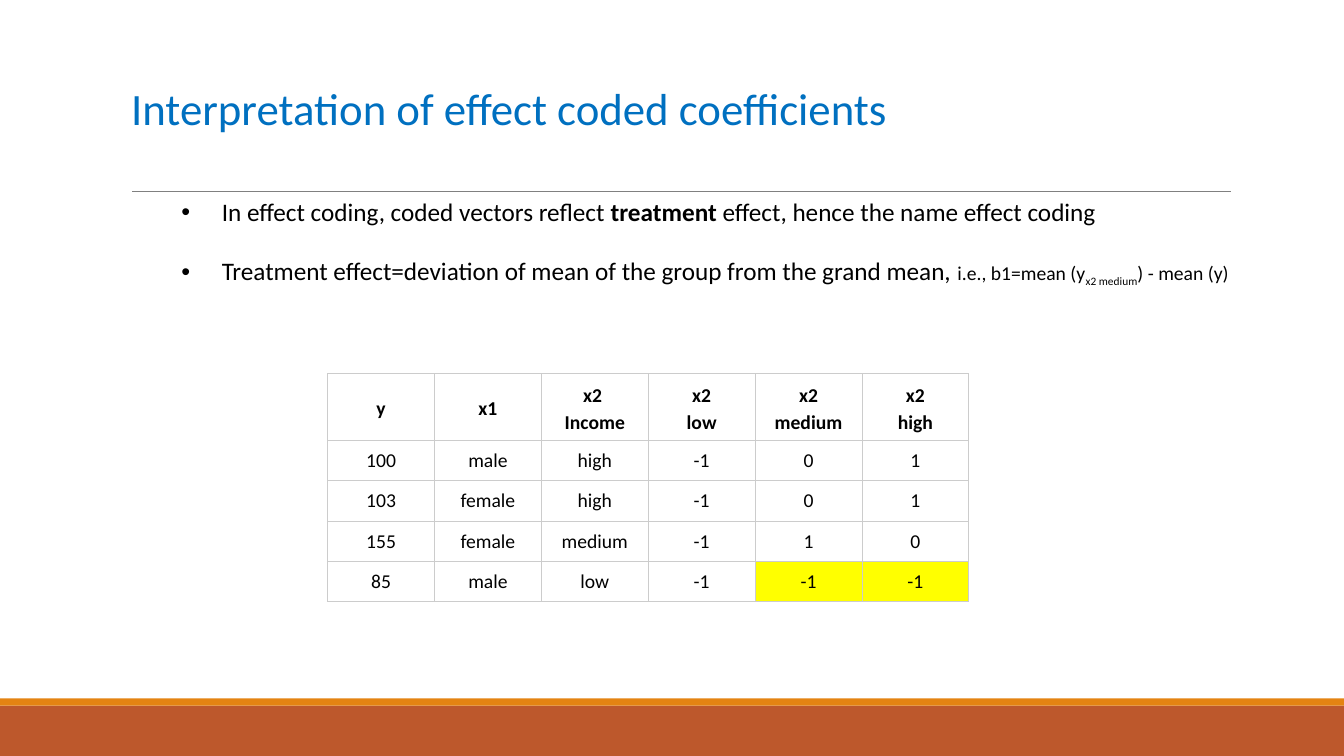
from lxml.etree import SubElement
from pptx import Presentation
from pptx.dml.color import RGBColor
from pptx.enum.shapes import MSO_CONNECTOR as CONN, MSO_SHAPE as SHAPE
from pptx.enum.text import MSO_ANCHOR as ANCHOR, MSO_AUTO_SIZE as FIT, PP_ALIGN as ALIGN
from pptx.oxml.ns import qn
from pptx.util import Emu, Pt

PX = 9144  # EMU per px, 100 px to the inch
WIDTH, HEIGHT = 1333, 750

BLACK = RGBColor(0x00, 0x00, 0x00)
BLUE = RGBColor(0x00, 0x70, 0xC0)
RUST = RGBColor(0xBD, 0x58, 0x2C)
ORANGE = RGBColor(0xE4, 0x83, 0x12)
GREY = RGBColor(0x80, 0x80, 0x80)
BORDER = RGBColor(0xCC, 0xCC, 0xCC)
YELLOW = RGBColor(0xFF, 0xFF, 0x00)

BULLETS = [
    [("In effect coding, coded vectors reflect ", {}),
     ("treatment", {"bold": True}),
     (" effect, hence the name effect coding", {})],
    [("Treatment effect=deviation of mean of the group from the grand mean, ", {}),
     ("i.e., b1=mean (y", {"size": 14}),
     ("x2 medium", {"size": 14, "baseline": -25}),
     (") - mean (y)", {"size": 14})],
]
ROWS = [
    ["y", "x1", "x2 \nIncome", "x2\nlow", "x2\nmedium", "x2\nhigh"],
    ["100", "male", "high", "-1", "0", "1"],
    ["103", "female", "high", "-1", "0", "1"],
    ["155", "female", "medium", "-1", "1", "0"],
    ["85", "male", "low", "-1", "-1", "-1"],
]
HIGHLIGHTED = {(4, 4), (4, 5)}


def px(*lengths):
    return [Emu(n * PX) for n in lengths]


def add_run(p, text, font="Calibri", size=18, color=BLACK, bold=False, baseline=0):
    """Append formatted text; baseline is a percentage, negative for subscript."""
    r = p.add_run()
    r.text = text
    r.font.name, r.font.size, r.font.bold = font, Pt(size), bold
    r.font.color.rgb = color
    if baseline:
        r.font._element.set("baseline", str(baseline * 1000))


def add_bullet(p, margin, indent):
    pPr = p._p.get_or_add_pPr()
    pPr.set("marL", str(margin * PX))
    pPr.set("indent", str(indent * PX))
    SubElement(pPr, qn("a:buFont"), typeface="Arial")
    SubElement(pPr, qn("a:buChar"), char="•")


def add_borders(cell, color, width):
    tcPr = cell._tc.get_or_add_tcPr()
    for side in ("lnL", "lnR", "lnT", "lnB"):
        ln = SubElement(tcPr, qn(f"a:{side}"), w=str(Pt(width)))
        fill = SubElement(ln, qn("a:solidFill"))
        SubElement(fill, qn("a:srgbClr"), val=str(color))


class SlideBuilder:
    def __init__(self, prs):
        self.s = prs.slides.add_slide(prs.slide_layouts[5])

    def band(self, x, y, w, h, color):
        sp = self.s.shapes.add_shape(SHAPE.RECTANGLE, *px(x, y, w, h))
        sp.shadow.inherit = False
        sp.fill.solid()
        sp.fill.fore_color.rgb = color
        sp.line.fill.background()

    def rule(self, x1, y1, x2, y2, color, width):
        line = self.s.shapes.add_connector(CONN.STRAIGHT, *px(x1, y1, x2, y2))
        line.line.color.rgb = color
        line.line.width = Pt(width)
        SubElement(line._element.spPr, qn("a:effectLst"))

    def title(self, text, x, y, w, h):
        sp = self.s.shapes.title
        sp.left, sp.top, sp.width, sp.height = px(x, y, w, h)
        tf = sp.text_frame
        tf.word_wrap, tf.auto_size = True, FIT.NONE
        tf.vertical_anchor = ANCHOR.MIDDLE
        p = tf.paragraphs[0]
        p.alignment, p.line_spacing = ALIGN.LEFT, 0.85
        add_run(p, text, size=32, color=BLUE)

    def bullets(self, items, x, y, w, h, gap):
        tf = self.s.shapes.add_textbox(*px(x, y, w, h)).text_frame
        tf.word_wrap = True
        tf.margin_left = tf.margin_right = 0
        for i, runs in enumerate(items):
            p = tf.add_paragraph() if i else tf.paragraphs[0]
            if i:
                p.space_before = Pt(gap)
            add_bullet(p, margin=100, indent=-40)
            for text, style in runs:
                add_run(p, text, **style)

    def table(self, rows, x, y, col_w, head_h, row_h):
        n_cols = len(rows[0])
        heights = [head_h] + [row_h] * (len(rows) - 1)
        frame = self.s.shapes.add_table(
            len(rows), n_cols, *px(x, y, col_w * n_cols, sum(heights)))
        table = frame.table
        table.first_row = table.horz_banding = False
        for col in table.columns:
            col.width = Emu(col_w * PX)
        for i, (values, height) in enumerate(zip(rows, heights)):
            table.rows[i].height = Emu(height * PX)
            for j, text in enumerate(values):
                self.cell(table.cell(i, j), text, i == 0, (i, j) in HIGHLIGHTED)

    def cell(self, cell, text, header, highlighted):
        cell.margin_left, cell.margin_top, cell.margin_right, cell.margin_bottom = px(3, 2, 3, 2)
        cell.vertical_anchor = ANCHOR.MIDDLE
        add_borders(cell, BORDER, 0.75)
        if highlighted:
            cell.fill.solid()
            cell.fill.fore_color.rgb = YELLOW
        else:
            cell.fill.background()
        tf = cell.text_frame
        for i, line in enumerate(text.split("\n")):
            p = tf.add_paragraph() if i else tf.paragraphs[0]
            p.alignment = ALIGN.CENTER
            p.line_spacing = 1.15 if header else 1.0
            add_run(p, line, size=14, bold=header)


def main():
    prs = Presentation()
    prs.slide_width, prs.slide_height = px(WIDTH, HEIGHT)
    slide = SlideBuilder(prs)
    slide.band(0, 700, WIDTH, 50, RUST)
    slide.band(0, 693, WIDTH, 7, ORANGE)
    slide.rule(131, 190, 1221, 190, GREY, 0.5)
    slide.title("Interpretation of effect coded coefficients", 120, 31, 1100, 159)
    slide.bullets(BULLETS, 120, 190, 1110, 198, gap=20.5)
    slide.table(ROWS, 325, 371, col_w=106, head_h=66, row_h=40)
    prs.save("out.pptx")


if __name__ == "__main__":
    main()
